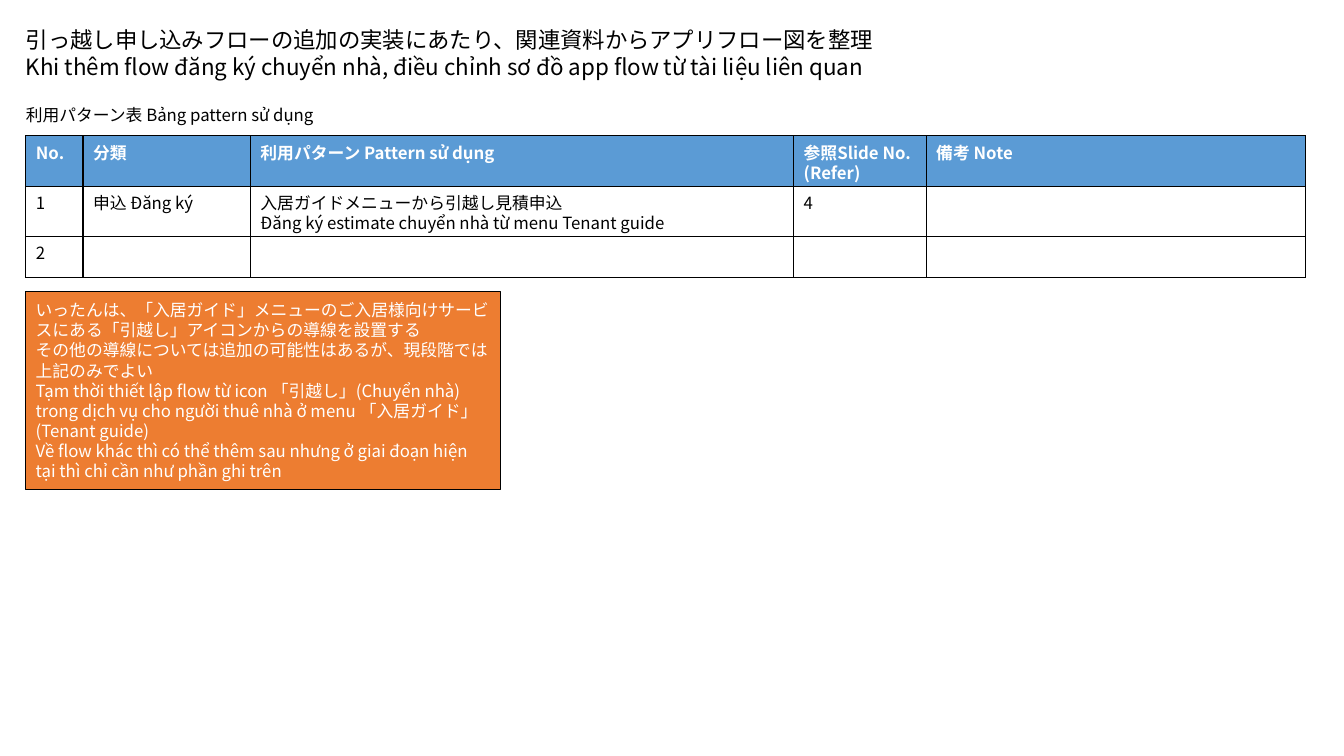
import pptx
import pptx.util
import pptx.dml.color
import pptx.enum.shapes
import pptx.enum.text
import pptx.oxml
from lxml import etree
from pptx.util import Cm, Pt

FONT = "Noto Sans CJK JP"
BLACK, WHITE, BLUE, ORANGE = "000000", "FFFFFF", "5B9BD5", "ED7D31"
LEFT = Cm(0.65)
DRAWING = "http://schemas.openxmlformats.org/drawingml/2006/main"


def rgb(value):
    """Turn a hex string into a colour."""
    return pptx.dml.color.RGBColor.from_string(value)


def write(frame, text, size, color, bold=False, spacing=1.0):
    """Fill a text frame and format all its paragraphs alike."""
    frame.text = text
    for paragraph in frame.paragraphs:
        paragraph.alignment = pptx.enum.text.PP_ALIGN.LEFT
        paragraph.line_spacing = spacing
        for run in paragraph.runs:
            run.font.name = FONT
            run.font.size = Pt(size)
            run.font.bold = bold
            run.font.color.rgb = rgb(color)
            east_asian = etree.SubElement(run.font._element, f"{{{DRAWING}}}ea")
            east_asian.set("typeface", FONT)


deck = pptx.Presentation()
deck.slide_width, deck.slide_height = Cm(33.87), Cm(19.05)
slide = deck.slides.add_slide(deck.slide_layouts[6])

# Title and table caption
title = slide.shapes.add_textbox(Cm(0.4), Cm(0.53), Cm(22.17), Cm(1.63))
title.text_frame.word_wrap = False
write(title.text_frame,
      "引っ越し申し込みフローの追加の実装にあたり、関連資料からアプリフロー図を整理\n"
      "Khi thêm flow đăng ký chuyển nhà, điều chỉnh sơ đồ app flow từ tài liệu liên quan",
      16, BLACK)
caption = slide.shapes.add_textbox(Cm(0.4), Cm(2.51), Cm(11.07), Cm(0.76))
caption.text_frame.word_wrap = True
write(caption.text_frame, "利用パターン表 Bảng pattern sử dụng", 12, BLACK)

# Usage pattern table
column_widths = [1.44, 4.22, 13.69, 3.34, 9.56]
row_heights = [1.27, 1.27, 1.04]
usage_patterns = [
    ["No.", "分類", "利用パターン Pattern sử dụng", "参照Slide No. (Refer)", "備考 Note"],
    ["1", "申込 Đăng ký",
     "入居ガイドメニューから引越し見積申込\vĐăng ký estimate chuyển nhà từ menu Tenant guide",
     "4", ""],
    ["2", "", "", "", ""],
]
patterns = slide.shapes.add_table(
    len(row_heights), len(column_widths), LEFT, Cm(3.42),
    Cm(sum(column_widths)), Cm(sum(row_heights))).table
for column, width in zip(patterns.columns, column_widths):
    column.width = Cm(width)
for row, height in zip(patterns.rows, row_heights):
    row.height = Cm(height)
for r, entries in enumerate(usage_patterns):
    header = r == 0
    for c, entry in enumerate(entries):
        cell = patterns.cell(r, c)
        cell.margin_top, cell.margin_bottom = Cm(0.18), Cm(0.05)
        cell.margin_right = Cm(0.1)
        write(cell.text_frame, entry, 12, WHITE if header else BLACK, header, 0.83)
        if not entry:
            cell.text_frame.paragraphs[0].font.size = Pt(12)
        properties = cell._tc.get_or_add_tcPr()
        for side in ("lnL", "lnR", "lnT", "lnB"):
            properties.append(pptx.oxml.parse_xml(
                f'<a:{side} xmlns:a="{DRAWING}" w="12700"><a:solidFill>'
                f'<a:srgbClr val="{BLACK}"/></a:solidFill></a:{side}>'))
        cell.fill.solid()
        cell.fill.fore_color.rgb = rgb(BLUE if header else WHITE)

# Remark on the entry points
remark = slide.shapes.add_shape(
    pptx.enum.shapes.MSO_SHAPE.RECTANGLE, LEFT, Cm(7.34), Cm(11.96), Cm(5))
remark.shadow.inherit = False
remark.fill.solid()
remark.fill.fore_color.rgb = rgb(ORANGE)
remark.line.color.rgb = rgb(BLACK)
remark.line.width = Pt(1)
remark.text_frame.word_wrap = True
remark.text_frame.vertical_anchor = pptx.enum.text.MSO_ANCHOR.MIDDLE
write(remark.text_frame,
      "いったんは、「入居ガイド」メニューのご入居様向けサービスにある「引越し」"
      "アイコンからの導線を設置する\n"
      "その他の導線については追加の可能性はあるが、現段階では上記のみでよい\v"
      "Tạm thời thiết lập flow từ icon 「引越し」(Chuyển nhà) trong dịch vụ "
      "cho người thuê nhà ở menu 「入居ガイド」(Tenant guide)\n"
      "Về flow khác thì có thể thêm sau nhưng ở giai đoạn hiện tại thì chỉ cần "
      "như phần ghi trên",
      12, WHITE)

deck.save("out.pptx")
